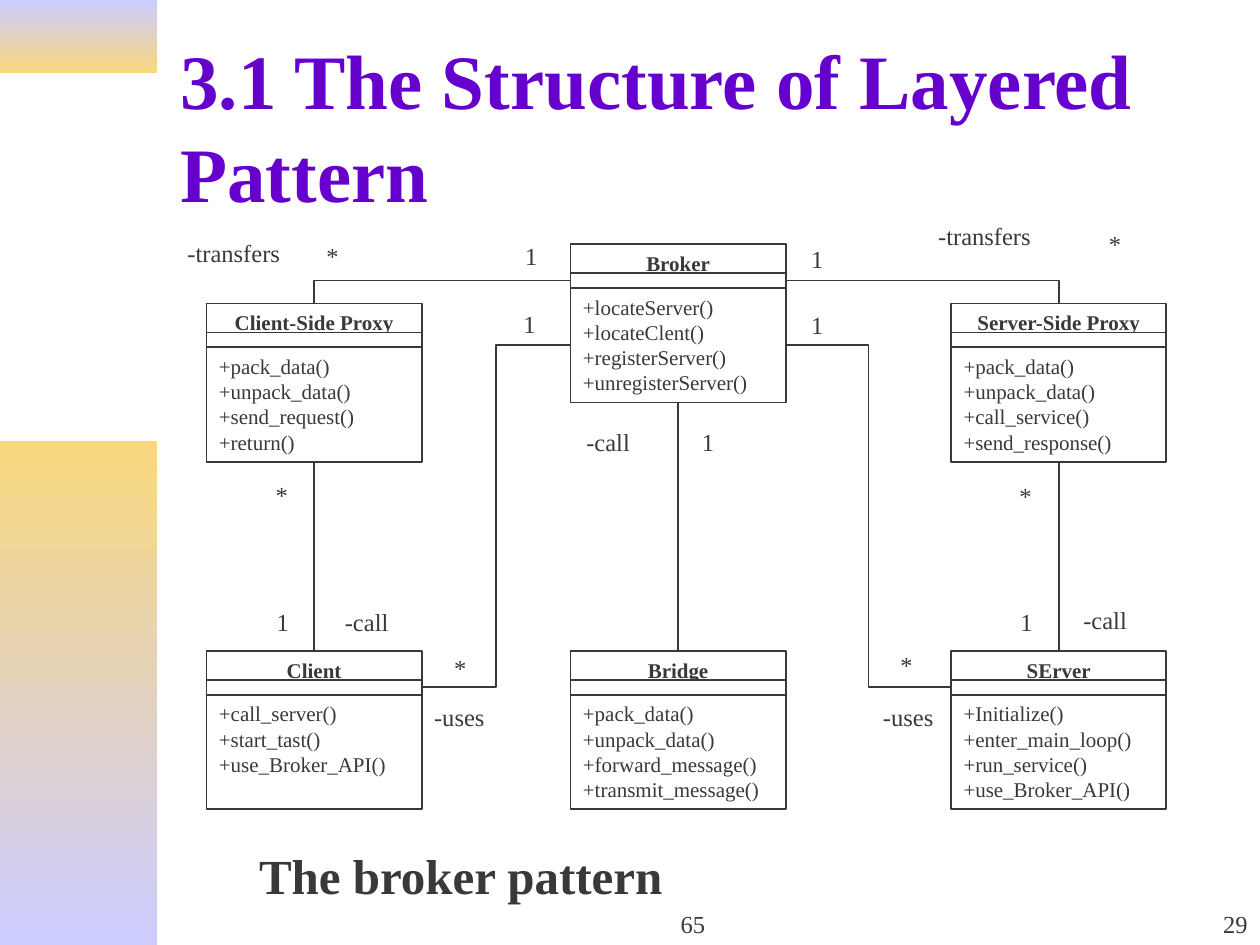
"""Build a slide showing the class diagram of the broker pattern."""
from lxml import etree
from pptx import Presentation
from pptx.dml.color import RGBColor
from pptx.enum.shapes import MSO_CONNECTOR, MSO_SHAPE
from pptx.enum.text import MSO_ANCHOR, PP_ALIGN
from pptx.oxml.ns import qn
from pptx.util import Pt

RECTANGLE = MSO_SHAPE.RECTANGLE
STRAIGHT, ELBOW = MSO_CONNECTOR.STRAIGHT, MSO_CONNECTOR.ELBOW
LEFT, CENTER, RIGHT = PP_ALIGN.LEFT, PP_ALIGN.CENTER, PP_ALIGN.RIGHT
TOP, MIDDLE, BOTTOM = MSO_ANCHOR.TOP, MSO_ANCHOR.MIDDLE, MSO_ANCHOR.BOTTOM

INK, PURPLE, WHITE, LILAC, GOLD = "393939", "6600CC", "FFFFFF", "CCCCFF", "F9D87E"
FONT = "Times New Roman"

BANDS = [(0, 42, LILAC, GOLD), (252, 288, GOLD, LILAC)]
BAND_WIDTH = 90

TEXTS = [
    ("3.1 The Structure of Layered Pattern", (96, 24, 612, 95),
     {"size": Pt(44), "bold": True}, PURPLE, LEFT, MIDDLE, True),
    ("65", (282, 504, 228, 36), {"size": Pt(14)}, INK, CENTER, BOTTOM, True),
    ("29", (570, 504, 150, 36), {"size": Pt(14)}, INK, RIGHT, BOTTOM, True),
    ("The broker pattern", (141, 479.5, 245.5, 41),
     {"size": Pt(28), "bold": True}, INK, LEFT, TOP, False),
]

COLUMNS = {"client": 118, "middle": 326, "server": 543.5}
ROWS = {"broker": 139.5, "proxy": 173.5, "end": 372}
CLASS_WIDTH = 123
SECTIONS = {"header": (0, 17), "attributes": (16.5, 8.5), "operations": (25, 65.5)}

CLASSES = {
    "Broker": ("middle", "broker", ["+locateServer()", "+locateClent()",
                                    "+registerServer()", "+unregisterServer()"]),
    "Client-Side Proxy": ("client", "proxy", ["+pack_data()", "+unpack_data()",
                                              "+send_request()", "+return()"]),
    "Bridge": ("middle", "end", ["+pack_data()", "+unpack_data()",
                                 "+forward_message()", "+transmit_message()"]),
    "Client": ("client", "end", ["+call_server()", "+start_tast()", "+use_Broker_API()"]),
    "SErver": ("server", "end", ["+Initialize()", "+enter_main_loop()",
                                 "+run_service()", "+use_Broker_API()"]),
    "Server-Side Proxy": ("server", "proxy", ["+pack_data()", "+unpack_data()",
                                              "+call_service()", "+send_response()"]),
}

SITES = {"top": 0, "left": 1, "bottom": 2, "right": 3}
RELATIONS = [
    (("Broker", "attributes", "left"), ("Client-Side Proxy", "header", "top"), "bentConnector2"),
    (("Client-Side Proxy", "operations", "bottom"), ("Client", "header", "top"), None),
    (("Broker", "operations", "left"), ("Client", "attributes", "right"), "bentConnector3"),
    (("Broker", "operations", "bottom"), ("Bridge", "header", "top"), None),
    (("Broker", "attributes", "right"), ("Server-Side Proxy", "header", "top"), "bentConnector2"),
    (("Broker", "operations", "right"), ("SErver", "attributes", "left"), "bentConnector3"),
    (("Server-Side Proxy", "operations", "bottom"), ("SErver", "header", "top"), None),
]

LABEL_HEIGHT = 24.5
LABELS = {
    "1": (22, [(293, 134), (292, 173), (394, 240.5), (456.5, 173.5),
               (456.5, 136), (151, 343.5), (576, 343.5)]),
    "*": (22, [(179.5, 134), (150.5, 270.5), (252.5, 369.5), (507.5, 368),
               (626.5, 127.5), (575.5, 271.5)]),
    "-call": (49.5, [(328, 240.5), (190, 343.5), (612, 342)]),
    "-uses": (49.5, [(241, 397.5), (497.5, 397.5)]),
    "-transfers": (76.5, [(529, 123), (100, 132.5)]),
}


def color(value):
    return RGBColor.from_string(value)


def write(shape, lines, font_format, ink=INK, align=LEFT, anchor=TOP, wrap=True):
    frame = shape.text_frame
    frame.word_wrap = wrap
    frame.vertical_anchor = anchor
    for index, line in enumerate(lines):
        paragraph = frame.add_paragraph() if index else frame.paragraphs[0]
        paragraph.alignment = align
        run = paragraph.add_run()
        run.text = line
        for name, value in {"name": FONT, **font_format}.items():
            setattr(run.font, name, value)
        run.font.color.rgb = color(ink)


def add_text(slide, text, place, *style):
    write(slide.shapes.add_textbox(*map(Pt, place)), [text], *style)


def add_rectangle(slide, *place):
    rectangle = slide.shapes.add_shape(RECTANGLE, *map(Pt, place))
    rectangle.shadow.inherit = False
    return rectangle


def draw_line(line):
    line.color.rgb = color(INK)
    line.width = Pt(1)


def add_band(slide, top, height, start, end):
    band = add_rectangle(slide, 0, top, BAND_WIDTH, height)
    band.line.fill.background()
    band.fill.gradient()
    band.fill.gradient_angle = 270
    for stop, shade in zip(band.fill.gradient_stops, (start, end)):
        stop.color.rgb = color(shade)


def add_class(slide, title, column, row, operations):
    sections = {}
    for section, (offset, height) in SECTIONS.items():
        box = add_rectangle(slide, COLUMNS[column], ROWS[row] + offset, CLASS_WIDTH, height)
        box.fill.solid()
        box.fill.fore_color.rgb = color(WHITE)
        draw_line(box.line)
        sections[section] = box
    write(sections["header"], [title], {"size": Pt(12), "bold": True}, align=CENTER, wrap=False)
    write(sections["operations"], operations, {"size": Pt(12)}, wrap=False)
    return sections


def add_relation(slide, classes, source, target, bend):
    relation = slide.shapes.add_connector(ELBOW if bend else STRAIGHT, 0, 0, 0, 0)
    for connect, (title, section, side) in ((relation.begin_connect, source),
                                            (relation.end_connect, target)):
        connect(classes[title][section], SITES[side])
    draw_line(relation.line)
    properties = relation._element.spPr
    if bend:
        properties.find(qn("a:prstGeom")).set("prst", bend)
    etree.SubElement(properties, qn("a:effectLst"))


def main():
    deck = Presentation()
    deck.slide_width, deck.slide_height = Pt(720), Pt(540)
    slide = deck.slides.add_slide(deck.slide_layouts[6])
    for band in BANDS:
        add_band(slide, *band)
    for text in TEXTS:
        add_text(slide, *text)
    classes = {title: add_class(slide, title, *parts) for title, parts in CLASSES.items()}
    for relation in RELATIONS:
        add_relation(slide, classes, *relation)
    for label, (width, corners) in LABELS.items():
        for corner in corners:
            add_text(slide, label, (*corner, width, LABEL_HEIGHT), {"size": Pt(14)})
    deck.save("out.pptx")


if __name__ == "__main__":
    main()
